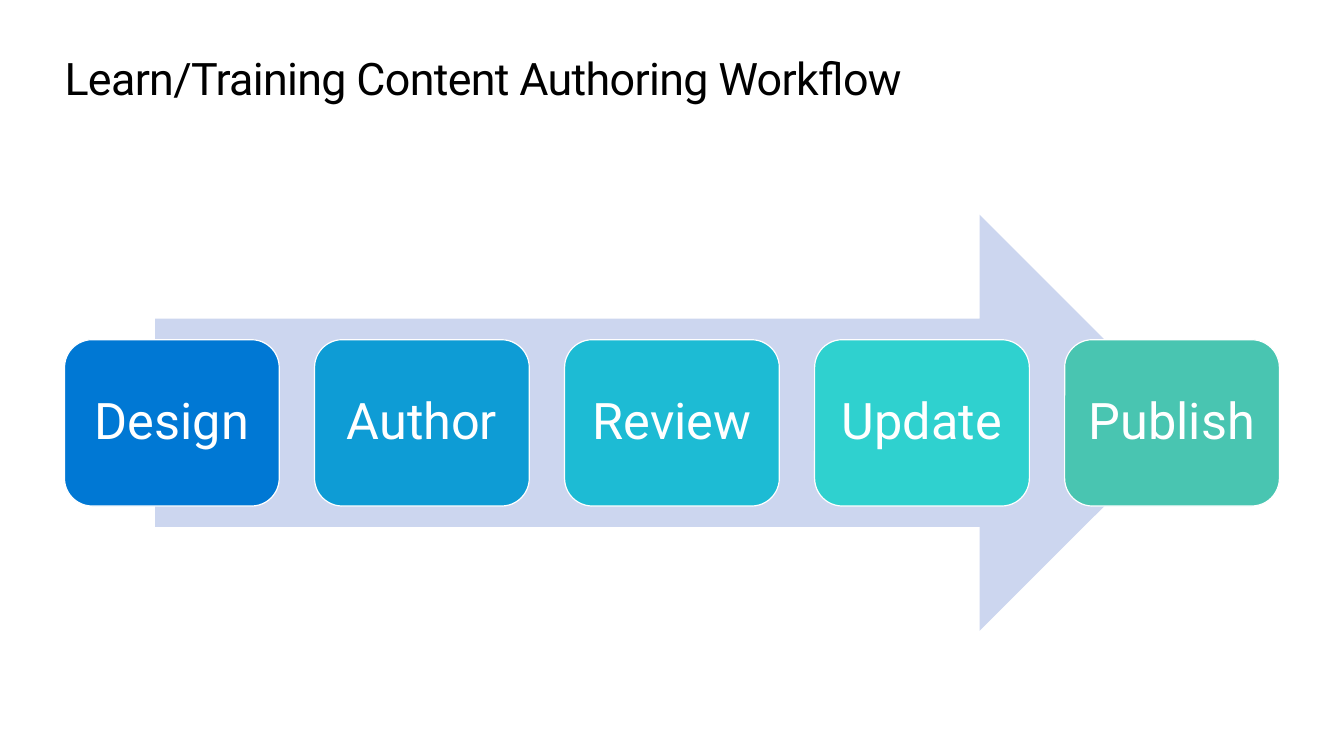
"""Build a slide showing the five steps of a content authoring workflow."""
from pptx import Presentation
from pptx.dml.color import RGBColor
from pptx.enum.shapes import MSO_SHAPE
from pptx.enum.text import MSO_ANCHOR, PP_ALIGN
from pptx.util import Inches, Pt

FONT = "Roboto"
BLACK = RGBColor(0x00, 0x00, 0x00)
WHITE = RGBColor(0xFF, 0xFF, 0xFF)
PALE = RGBColor(0xCC, 0xD6, 0xEF)
STEPS = [
    ("Design", RGBColor(0x00, 0x78, 0xD4)),
    ("Author", RGBColor(0x0E, 0x9C, 0xD5)),
    ("Review", RGBColor(0x1D, 0xBB, 0xD4)),
    ("Update", RGBColor(0x2F, 0xD1, 0xCF)),
    ("Publish", RGBColor(0x49, 0xC5, 0xB1)),
]
LEFT, PITCH = 0.64, 2.48


def style(frame, text, size, color, inset):
    frame.margin_left = frame.margin_right = Inches(inset)
    frame.margin_top = frame.margin_bottom = Inches(inset)
    para = frame.paragraphs[0]
    run = para.add_run()
    run.text = text
    para.font.name = FONT
    para.font.size = Pt(size)
    para.font.color.rgb = color
    return para


deck = Presentation()
deck.slide_width, deck.slide_height = Inches(13.33), Inches(7.5)
slide = deck.slides.add_slide(deck.slide_layouts[6])
shapes = slide.shapes

title = shapes.add_textbox(Inches(LEFT), Inches(0.5), Inches(12.05), Inches(0.54))
title.text_frame.word_wrap = True
head = style(title.text_frame, "Learn/Training Content Authoring Workflow", 32, BLACK, 0)
head.runs[0].font._element.set("spc", "-50")

arrow = shapes.add_shape(
    MSO_SHAPE.RIGHT_ARROW, Inches(1.54), Inches(2.13), Inches(10.24), Inches(4.13))
arrow.shadow.inherit = False
arrow.fill.solid()
arrow.fill.fore_color.rgb = PALE
arrow.line.fill.background()

for i, (name, color) in enumerate(STEPS):
    card = shapes.add_shape(
        MSO_SHAPE.ROUNDED_RECTANGLE,
        Inches(LEFT + i * PITCH), Inches(3.37), Inches(2.13), Inches(1.65))
    card.shadow.inherit = False
    card.fill.solid()
    card.fill.fore_color.rgb = color
    card.line.color.rgb = WHITE
    card.line.width = Pt(0.85)
    frame = card.text_frame
    frame.word_wrap = False
    frame.vertical_anchor = MSO_ANCHOR.MIDDLE
    label = style(frame, name, 36, WHITE, 0.15)
    label.alignment = PP_ALIGN.CENTER
    label.line_spacing = 0.9

deck.save("out.pptx")
